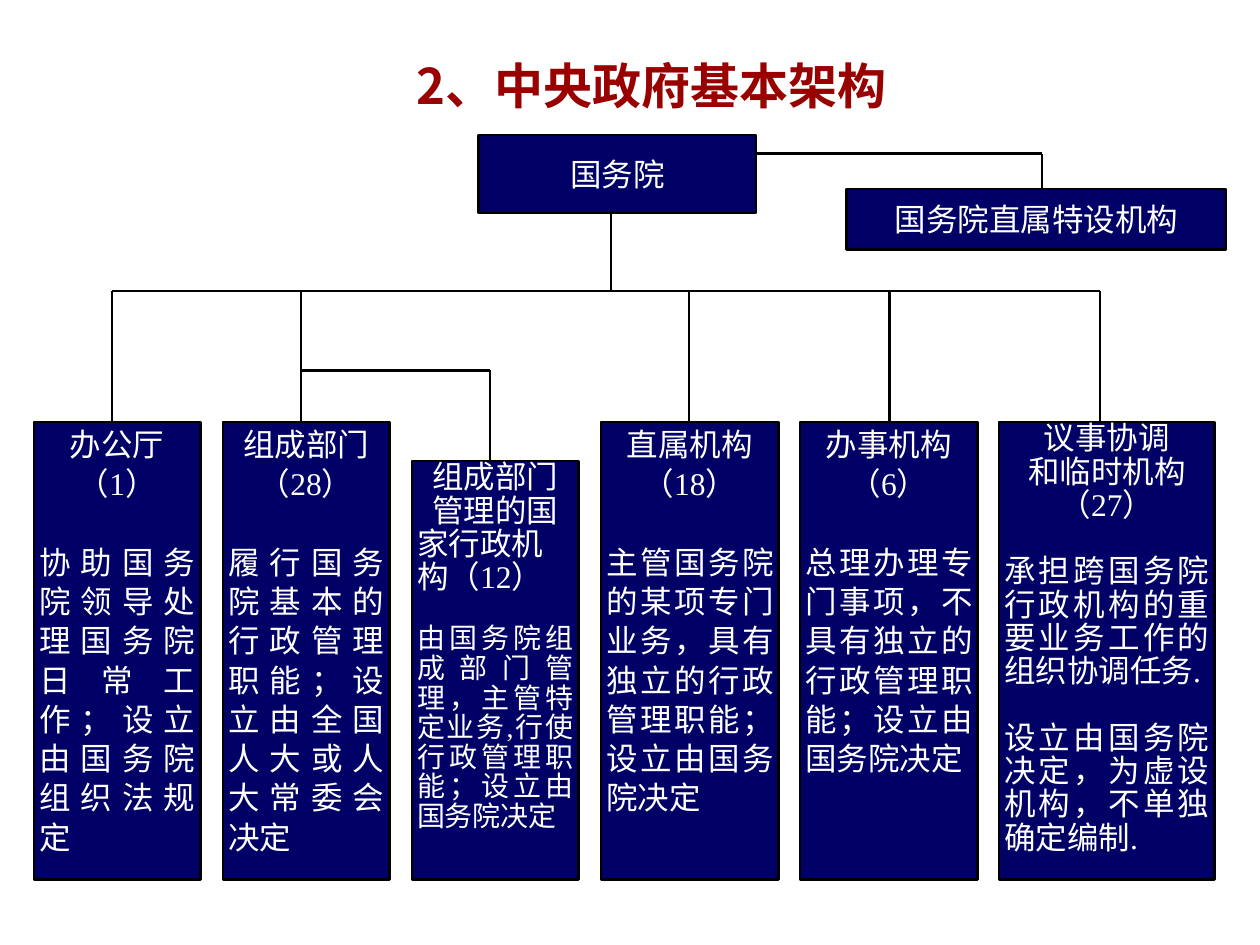
from dataclasses import dataclass

import pptx
import pptx.dml.color
import pptx.enum.lang
import pptx.enum.shapes
import pptx.enum.text
import pptx.oxml.ns
import pptx.util
from lxml import etree
from pptx.util import Inches

COLORS = {"box": "000066", "line": "000000", "text": "FFFFFF", "title": "990000"}
BODY_FONT = "Times New Roman"
TITLE_FONT = "Noto Sans CJK SC"
ALIGN = pptx.enum.text.PP_ALIGN
ANCHOR = pptx.enum.text.MSO_ANCHOR
BUS_TOP = 2.31
BRANCH_TOP = 2.94
DEPARTMENT_TOP = 3.35
DEPARTMENT_BOTTOM = 6.98


@dataclass
class Line:
    text: str
    alignment: int = ALIGN.CENTER
    size: float = 18
    spacing: float = 1.0
    gap: float = 0


@dataclass
class Department:
    left: float
    width: float
    stem: float
    headings: tuple[str, ...]
    duties: tuple[str, ...]
    lead: str = ""
    top: float = DEPARTMENT_TOP
    stem_top: float = BUS_TOP
    spacing: float = 1.04
    duty_size: float = 18
    gap: float = 22.5


DEPARTMENTS = [
    Department(0.27, 1.32, 0.89, ("办公厅", "（1）"),
               ("协助国务院领导处理国务院日常工作；设立由国务院组织法规定",)),
    Department(1.77, 1.32, 2.39, ("组成部门", "（28）"),
               ("履行国务院基本的行政管理职能；设立由全国人大或人大常委会决定",)),
    Department(3.27, 1.32, 3.89, ("组成部门", "管理的国"),
               ("由国务院组成部门管理，主管特定业务,行使行政管理职能；设立由国务院决定",),
               lead="家行政机构（12）", top=3.66, stem_top=BRANCH_TOP,
               spacing=0.88, duty_size=16, gap=17),
    Department(4.77, 1.41, 5.47, ("直属机构", "（18）"),
               ("主管国务院的某项专门业务，具有独立的行政管理职能；设立由国务院决定",)),
    Department(6.35, 1.41, 7.06, ("办事机构", "（6）"),
               ("总理办理专门事项，不具有独立的行政管理职能；设立由国务院决定",)),
    Department(7.93, 1.71, 8.73, ("议事协调", "和临时机构", "（27）"),
               ("承担跨国务院行政机构的重要业务工作的组织协调任务.",
                "设立由国务院决定，为虚设机构，不单独确定编制."),
               spacing=0.88, gap=19),
]


def color(name: str) -> pptx.dml.color.RGBColor:
    return pptx.dml.color.RGBColor.from_string(COLORS[name])


def style_run(run, font_name: str, size: float, color_name: str) -> None:
    run.font.name = font_name
    run.font.size = pptx.util.Pt(size)
    run.font.color.rgb = color(color_name)
    run.font.language_id = pptx.enum.lang.MSO_LANGUAGE_ID.SIMPLIFIED_CHINESE


def add_line(slide, start: tuple[float, float], end: tuple[float, float]) -> None:
    connector = slide.shapes.add_connector(
        pptx.enum.shapes.MSO_CONNECTOR.STRAIGHT, *map(Inches, start + end))
    connector.line.color.rgb = color("line")
    connector.line.width = pptx.util.Pt(1.5)
    properties = connector._element.spPr
    etree.SubElement(properties, pptx.oxml.ns.qn("a:effectLst"))


def add_box(slide, left: float, top: float, width: float, height: float,
            lines: list[Line], anchor: int, margins: tuple[float, float],
            wrap: bool) -> None:
    box = slide.shapes.add_shape(
        pptx.enum.shapes.MSO_SHAPE.RECTANGLE,
        *map(Inches, (left, top, width, height)))
    box.shadow.inherit = False
    box.fill.solid()
    box.fill.fore_color.rgb = color("box")
    box.line.color.rgb = color("line")
    box.line.width = pptx.util.Pt(1.5)
    frame = box.text_frame
    frame.word_wrap = wrap
    frame.vertical_anchor = anchor
    frame.margin_left = frame.margin_right = Inches(margins[0])
    frame.margin_top = frame.margin_bottom = Inches(margins[1])
    frame.text = "\n".join(line.text for line in lines)
    for paragraph, line in zip(frame.paragraphs, lines):
        paragraph.alignment = line.alignment
        paragraph.line_spacing = line.spacing
        paragraph.space_before = pptx.util.Pt(line.gap)
        paragraph._p.get_or_add_pPr().set("hangingPunct", "0")
        style_run(paragraph.runs[0], BODY_FONT, line.size, "text")


def add_department(slide, department: Department) -> None:
    spacing = department.spacing
    lines = [Line(text, spacing=spacing) for text in department.headings]
    if department.lead:
        lines.append(Line(department.lead, ALIGN.LEFT, spacing=spacing))
    lines += [Line(text, ALIGN.JUSTIFY, department.duty_size, spacing, department.gap)
              for text in department.duties]
    add_line(slide, (department.stem, department.stem_top),
             (department.stem, department.top))
    add_box(slide, department.left, department.top, department.width,
            DEPARTMENT_BOTTOM - department.top, lines, ANCHOR.TOP, (0.04, 0.01), True)


def add_title(slide, text: str) -> None:
    title = slide.shapes.title
    title.left, title.top, title.width, title.height = map(Inches, (0.67, 0.36, 9, 0.63))
    frame = title.text_frame
    frame.text = text
    frame.vertical_anchor = ANCHOR.MIDDLE
    paragraph = frame.paragraphs[0]
    paragraph.alignment = ALIGN.CENTER
    run = paragraph.runs[0]
    style_run(run, TITLE_FONT, 28, "title")
    run.font.bold = True
    east_asian = etree.SubElement(run.font._element, pptx.oxml.ns.qn("a:ea"))
    east_asian.set("typeface", TITLE_FONT)


presentation = pptx.Presentation()
presentation.slide_width = Inches(10)
presentation.slide_height = Inches(7.5)
slide = presentation.slides.add_slide(presentation.slide_layouts[5])

add_title(slide, "2、中央政府基本架构")
add_box(slide, 3.8, 1.07, 2.2, 0.62, [Line("国务院")], ANCHOR.MIDDLE, (0.1, 0.05), False)
add_box(slide, 6.72, 1.5, 3.01, 0.48, [Line("国务院直属特设机构")],
        ANCHOR.MIDDLE, (0.1, 0.05), False)
add_line(slide, (6.01, 1.22), (8.27, 1.22))
add_line(slide, (8.27, 1.22), (8.27, 1.5))
add_line(slide, (4.85, 1.69), (4.85, BUS_TOP))
add_line(slide, (DEPARTMENTS[0].stem, BUS_TOP), (DEPARTMENTS[-1].stem, BUS_TOP))
add_line(slide, (DEPARTMENTS[1].stem, BRANCH_TOP), (DEPARTMENTS[2].stem, BRANCH_TOP))
for department in DEPARTMENTS:
    add_department(slide, department)

presentation.save("out.pptx")
